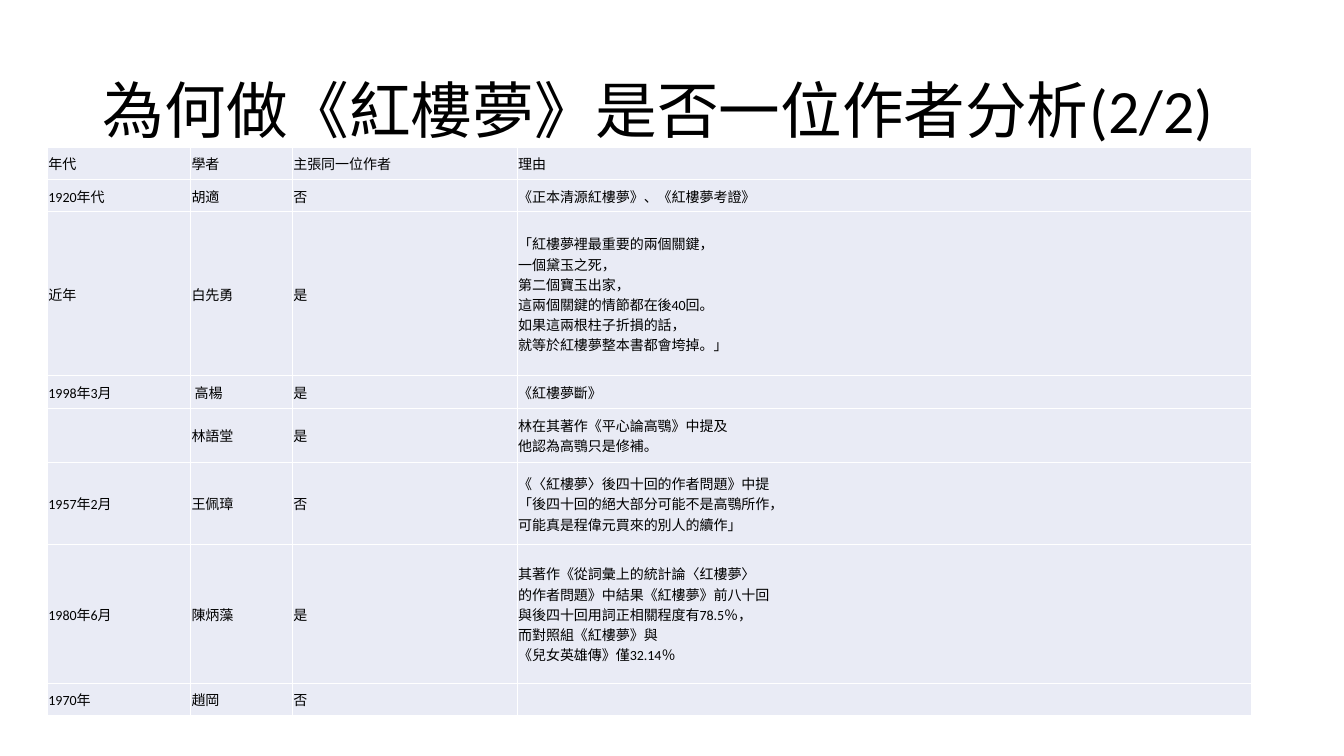
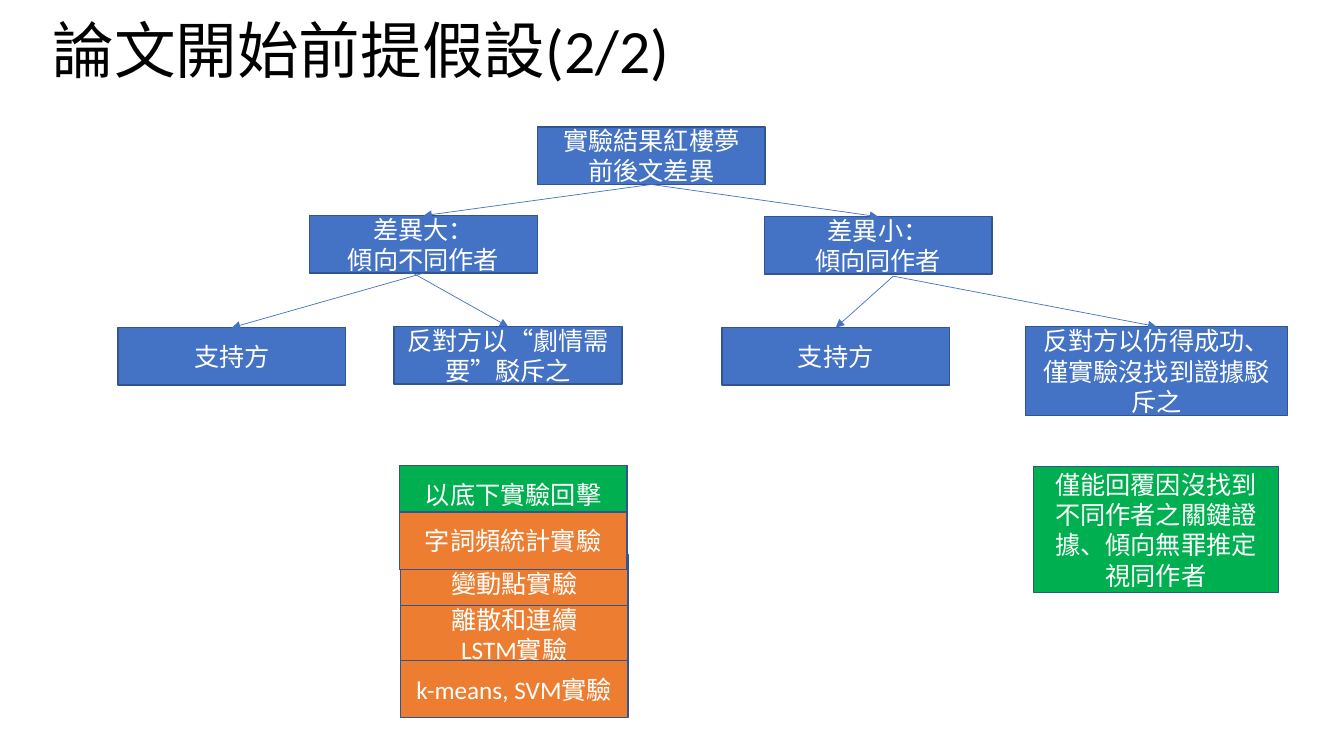
from lxml import etree
from pptx import Presentation
from pptx.dml.color import RGBColor
from pptx.enum.shapes import MSO_CONNECTOR, MSO_SHAPE
from pptx.enum.text import MSO_ANCHOR, MSO_AUTO_SIZE, PP_ALIGN
from pptx.oxml.ns import qn
from pptx.util import Inches, Pt

RECT = MSO_SHAPE.RECTANGLE
LINE = MSO_CONNECTOR.STRAIGHT
MIDDLE = MSO_ANCHOR.MIDDLE
LEFT, CENTER = PP_ALIGN.LEFT, PP_ALIGN.CENTER
FIXED = MSO_AUTO_SIZE.NONE
TOP, BOTTOM = 0, 2

COLORS = {
    "text": "000000",
    "light": "FFFFFF",
    "cell": "E9EBF5",
    "blue": "4472C4",
    "edge": "325491",
    "orange": "ED7D31",
    "green": "00B050",
}
FONT, ASIAN = "Calibri", "Noto Sans CJK TC"
BOX_W, BOX_H = 2.26, 0.57

COLS = [1.42, 1.01, 2.23, 7.28]
HEIGHTS = [0.32, 0.32, 1.63, 0.32, 0.54, 0.81, 1.38, 0.32]
ROWS = [
    ("年代", "學者", "主張同一位作者", "理由"),
    ("1920年代", "胡適", "否", "《正本清源紅樓夢》、《紅樓夢考證》"),
    ("近年", "白先勇\u00a0", "是",
     "「紅樓夢裡最重要的兩個關鍵，\n一個黛玉之死，\n第二個寶玉出家，\n"
     "這兩個關鍵的情節都在後40回。\n如果這兩根柱子折損的話，\n"
     "就等於紅樓夢整本書都會垮掉。」"),
    ("1998年3月", " 高楊", "是", "《紅樓夢斷》"),
    ("", "林語堂", "是", "林在其著作《平心論高鶚》中提及\n他認為高鶚只是修補。"),
    ("1957年2月", "王佩璋", "否",
     "《〈紅樓夢〉後四十回的作者問題》中提\n"
     "「後四十回的絕大部分可能不是高鶚所作，\n可能真是程偉元買來的別人的續作」"),
    ("1980年6月", "陳炳藻", "是",
     "其著作《從詞彙上的統計論〈红樓夢〉\n的作者問題》中結果《紅樓夢》前八十回\n"
     "與後四十回用詞正相關程度有78.5％，\n而對照組《紅樓夢》與\n"
     "《兒女英雄傳》僅32.14％"),
    ("1970年", "趙岡", "否", ""),
]

TREE = {
    "root": ("實驗結果紅樓夢\n前後文差異", 5.33, 1.26, BOX_W, BOX_H),
    "big": ("差異大：\n傾向不同作者", 3.07, 2.14, BOX_W, BOX_H),
    "small": ("差異小：\n傾向同作者", 7.58, 2.15, BOX_W, BOX_H),
    "big_yes": ("支持方", 1.17, 3.25, BOX_W, BOX_H),
    "big_no": ("反對方以“劇情需要”駁斥之", 3.91, 3.24, BOX_W, BOX_H),
    "small_yes": ("支持方", 7.16, 3.25, BOX_W, BOX_H),
    "small_no": ("反對方以仿得成功、僅實驗沒找到證據駁斥之", 10.17, 3.24, 2.6, 0.88),
}
LINKS = [
    ("root", "big", None),
    ("big", "big_yes", None),
    ("root", "small", None),
    ("small", "small_no", (8.86, 2.74)),
    ("small", "small_yes", (8.86, 2.74)),
    ("big", "big_no", (4.06, 2.69)),
]
TESTS = [
    ("變動點實驗", 0.01, 0.88, "orange"),
    ("離散和連續\nLSTM實驗", 0.01, 1.39, "orange"),
    ("k-means, SVM實驗", 0.01, 1.93, "orange"),
    ("以底下實驗回擊", 0, 0, "green"),
    ("字詞頻統計實驗", 0, 0.46, "orange"),
]


def rgb(name):
    return RGBColor.from_string(COLORS[name])


def style(para, size, color, align):
    para.alignment = align
    for run in para.runs:
        run.font.name = FONT
        run.font.size = Pt(size)
        run.font.color.rgb = rgb(color)
        asian = etree.SubElement(run.font._element, qn("a:ea"))
        asian.set("typeface", ASIAN)


def add_title(deck, text, left, top):
    slide = deck.slides.add_slide(deck.slide_layouts[5])
    title = slide.shapes.title
    title.left, title.top = Inches(left), Inches(top)
    title.width, title.height = Inches(11.5), Inches(1.45)
    frame = title.text_frame
    frame.text = text
    frame.word_wrap = True
    frame.auto_size = FIXED
    frame.vertical_anchor = MIDDLE
    frame.paragraphs[0].line_spacing = 0.9
    style(frame.paragraphs[0], 44, "text", LEFT)
    return slide


def add_grid(slide, left, top):
    table = slide.shapes.add_table(
        len(ROWS), len(COLS), Inches(left), Inches(top),
        Inches(sum(COLS)), Inches(sum(HEIGHTS))).table
    table.first_row = table.horz_banding = False
    for col, width in zip(table.columns, COLS):
        col.width = Inches(width)
    for row, height, texts in zip(table.rows, HEIGHTS, ROWS):
        row.height = Inches(height)
        for cell, text in zip(row.cells, texts):
            cell.fill.solid()
            cell.fill.fore_color.rgb = rgb("cell")
            cell.vertical_anchor = MIDDLE
            cell.margin_left = cell.margin_right = cell.margin_top = Inches(0.01)
            cell.margin_bottom = 0
            para = cell.text_frame.paragraphs[0]
            para.font.size = Pt(10)
            if text:
                para.text = text
                style(para, 10, "text", LEFT)


def add_box(slide, text, left, top, width, height, fill):
    box = slide.shapes.add_shape(
        RECT, Inches(left), Inches(top), Inches(width), Inches(height))
    box.shadow.inherit = False
    box.fill.solid()
    box.fill.fore_color.rgb = rgb(fill)
    box.line.color.rgb = rgb("edge")
    box.line.width = Pt(1)
    frame = box.text_frame
    frame.text = text
    frame.word_wrap = True
    frame.vertical_anchor = MIDDLE
    for para in frame.paragraphs:
        style(para, 18, "light", CENTER)
    return box


def add_link(slide, source, target, start):
    x, y = map(Inches, start or (0, 0))
    link = slide.shapes.add_connector(LINE, x, y, x, y)
    if not start:
        link.begin_connect(source, BOTTOM)
    link.end_connect(target, TOP)
    link.line.color.rgb = rgb("blue")
    link.line.width = Pt(0.5)
    tail = etree.SubElement(link.line._get_or_add_ln(), qn("a:tailEnd"))
    tail.set("type", "triangle")
    etree.SubElement(link._element.spPr, qn("a:effectLst"))


def add_tree(slide):
    boxes = {name: add_box(slide, *spec, "blue") for name, spec in TREE.items()}
    for source, target, start in LINKS:
        add_link(slide, boxes[source], boxes[target], start)


def add_tests(slide, left, top):
    for text, dx, dy, fill in TESTS:
        add_box(slide, text, left + dx, top + dy, BOX_W, BOX_H, fill)


def main():
    deck = Presentation()
    deck.slide_width, deck.slide_height = Inches(13.33), Inches(7.5)
    slide = add_title(deck, "為何做《紅樓夢》是否一位作者分析(2/2)", 0.92, 0.4)
    add_grid(slide, 0.47, 1.46)
    slide = add_title(deck, "論文開始前提假設(2/2)", 0.42, -0.19)
    add_tree(slide)
    add_tests(slide, 3.96, 4.62)
    add_box(slide, "僅能回覆因沒找到不同作者之關鍵證據、傾向無罪推定視同作者",
            10.25, 4.63, 2.43, 1.25, "green")
    deck.save("out.pptx")


if __name__ == "__main__":
    main()
